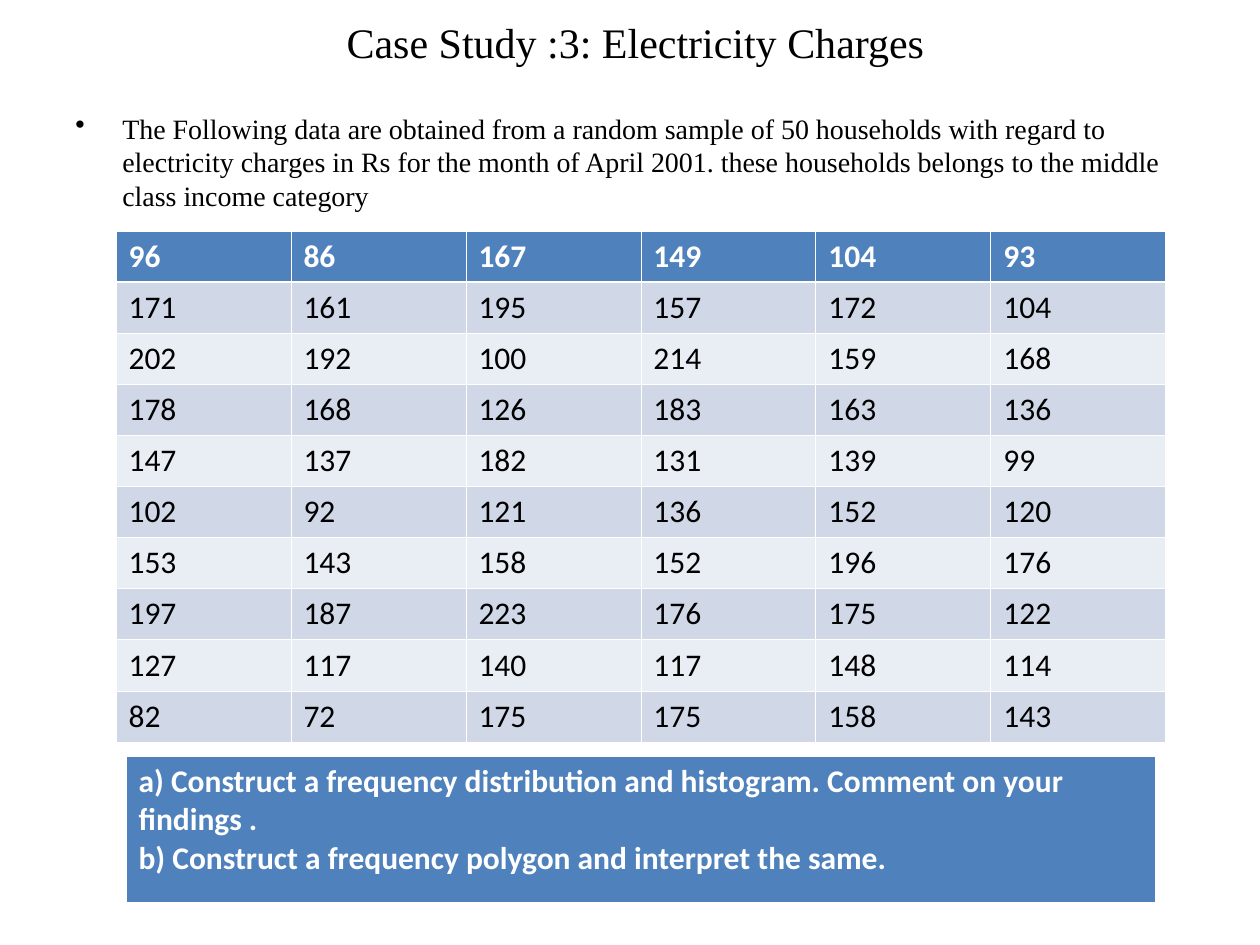
import lxml.etree
import pptx
import pptx.dml.color
import pptx.enum.text
import pptx.oxml.ns
import pptx.util

PX = pptx.util.Inches(1) / 126
WHITE = pptx.dml.color.RGBColor(0xFF, 0xFF, 0xFF)
BLACK = pptx.dml.color.RGBColor(0x00, 0x00, 0x00)
BLUE = pptx.dml.color.RGBColor(0x4F, 0x81, 0xBD)
DARK_BAND = pptx.dml.color.RGBColor(0xD0, 0xD8, 0xE8)
LIGHT_BAND = pptx.dml.color.RGBColor(0xE9, 0xED, 0xF4)
THIN, THICK = 0.45, 1.47

TITLE = "Case Study :3: Electricity Charges"
INTRODUCTION = (
    "The Following data are obtained from a random sample of 50 households with regard to "
    "electricity charges in Rs for the month of April 2001. these households belongs to the "
    "middle class income category"
)
CHARGES = [
    [96, 86, 167, 149, 104, 93],
    [171, 161, 195, 157, 172, 104],
    [202, 192, 100, 214, 159, 168],
    [178, 168, 126, 183, 163, 136],
    [147, 137, 182, 131, 139, 99],
    [102, 92, 121, 136, 152, 120],
    [153, 143, 158, 152, 196, 176],
    [197, 187, 223, 176, 175, 122],
    [127, 117, 140, 117, 148, 114],
    [82, 72, 175, 175, 158, 143],
]
QUESTIONS = [
    "a) Construct a frequency distribution and histogram. Comment on your findings .",
    "b) Construct a frequency polygon and interpret the same.",
]


def px(length):
    return pptx.util.Emu(round(length * PX))


def set_font(paragraph, name, size, color, bold=False):
    font = paragraph.font
    font.name, font.size, font.bold = name, pptx.util.Pt(size), bold
    font.color.rgb = color


def add_text(slide, box, text, size):
    frame = slide.shapes.add_textbox(*map(px, box)).text_frame
    frame.word_wrap = True
    paragraph = frame.paragraphs[0]
    paragraph.text = text
    set_font(paragraph, "Times New Roman", size, BLACK)
    return frame


def add_title(slide, box):
    frame = add_text(slide, box, TITLE, 24)
    frame.vertical_anchor = pptx.enum.text.MSO_ANCHOR.MIDDLE
    frame.paragraphs[0].alignment = pptx.enum.text.PP_ALIGN.CENTER


def add_introduction(slide, box):
    paragraph = add_text(slide, box, INTRODUCTION, 16).paragraphs[0]
    paragraph.space_before = pptx.util.Pt(4)
    properties = paragraph._p.get_or_add_pPr()
    properties.set("marL", str(px(47)))
    properties.set("indent", str(-px(47)))
    bullet = lxml.etree.SubElement(properties, pptx.oxml.ns.qn("a:buChar"))
    bullet.set("char", "•")


def set_borders(cell, top, bottom):
    properties = cell._tc.get_or_add_tcPr()
    widths = {"a:lnL": THIN, "a:lnR": THIN, "a:lnT": top, "a:lnB": bottom}
    for position, (tag, width) in enumerate(widths.items()):
        line = lxml.etree.Element(pptx.oxml.ns.qn(tag), w=str(pptx.util.Pt(width)))
        fill = lxml.etree.SubElement(line, pptx.oxml.ns.qn("a:solidFill"))
        lxml.etree.SubElement(fill, pptx.oxml.ns.qn("a:srgbClr"), val=str(WHITE))
        properties.insert(position, line)


def add_table(slide, box, rows):
    left, top, width, height = box
    shape = slide.shapes.add_table(len(rows), len(rows[0]), *map(px, box))
    table = shape.table
    table.first_row = table.horz_banding = False
    for column in table.columns:
        column.width = px(width / len(rows[0]))
    for index, values in enumerate(rows):
        table.rows[index].height = px(height / len(rows))
        header = index == 0
        band = BLUE if header else DARK_BAND if index % 2 else LIGHT_BAND
        for cell, value in zip(table.rows[index].cells, values):
            cell.text = str(value)
            cell.fill.solid()
            cell.fill.fore_color.rgb = band
            set_borders(cell, THICK if index == 1 else THIN, THICK if header else THIN)
            for paragraph in cell.text_frame.paragraphs:
                set_font(paragraph, "Calibri", 18, WHITE if header else BLACK, header)


def main():
    presentation = pptx.Presentation()
    presentation.slide_width, presentation.slide_height = px(1260), px(945)
    slide = presentation.slides.add_slide(presentation.slide_layouts[6])
    add_title(slide, (42, 21, 1187, 42))
    add_introduction(slide, (63, 105, 1134, 740))
    add_table(slide, (116, 231, 1050, 511), CHARGES)
    add_table(slide, (126, 756, 1029, 147), [["\n".join(QUESTIONS)]])
    presentation.save("out.pptx")


if __name__ == "__main__":
    main()
